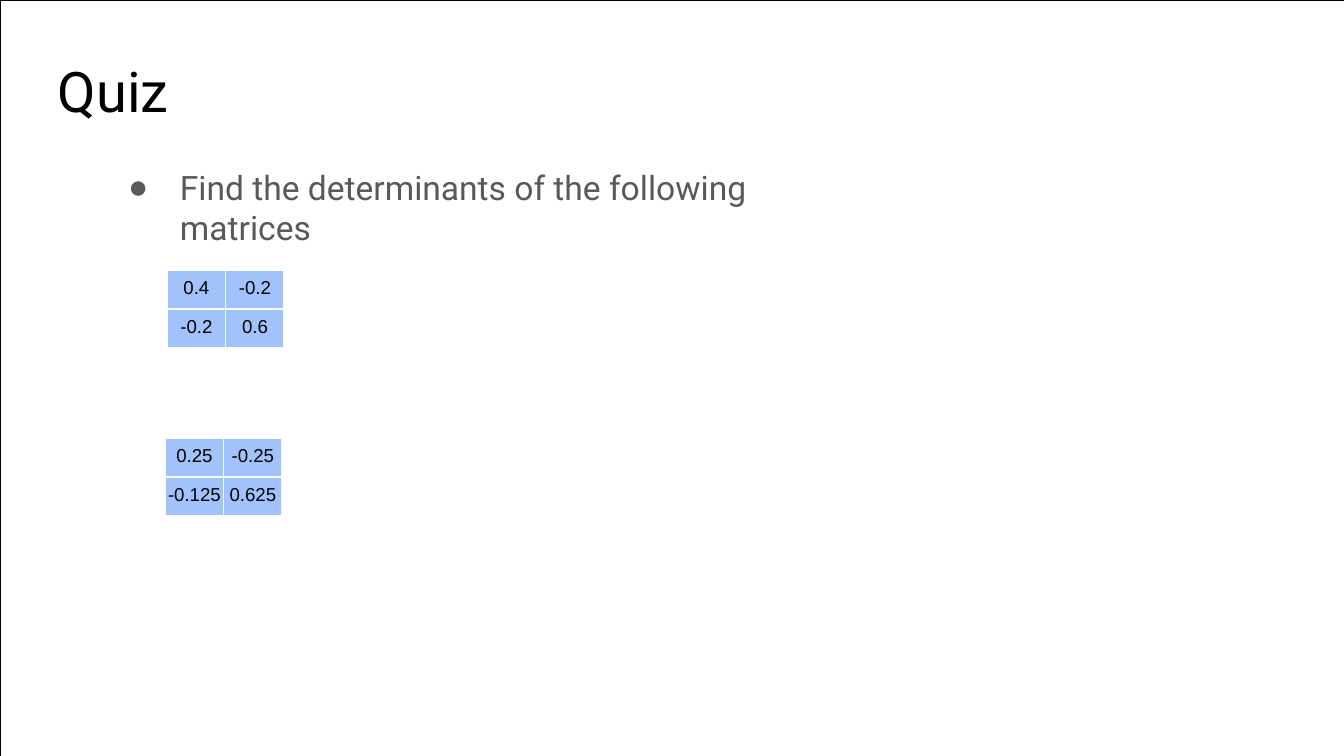
from dataclasses import dataclass

from lxml import etree
from pptx import Presentation
from pptx.dml.color import RGBColor
from pptx.enum.shapes import MSO_SHAPE
from pptx.enum.text import MSO_ANCHOR, MSO_AUTO_SIZE, PP_ALIGN
from pptx.oxml.ns import qn
from pptx.util import Pt

RECTANGLE = MSO_SHAPE.RECTANGLE
TOP = MSO_ANCHOR.TOP
NO_AUTOFIT = MSO_AUTO_SIZE.NONE
LEFT, CENTER = PP_ALIGN.LEFT, PP_ALIGN.CENTER

COLORS = {"ink": "000000", "body": "595959", "cell": "A1C2FA", "grid": "FFFFFF"}
SLIDE_WIDTH, SLIDE_HEIGHT = 720, 405
CELL_WIDTH, CELL_HEIGHT = 31.4, 20.8
BULLET_INDENT = 27.8


@dataclass
class Matrix:
    left: float
    top: float
    rows: list[list[str]]


MATRICES = [
    Matrix(89.5, 144.7, [["0.4", "-0.2"], ["-0.2", "0.6"]]),
    Matrix(88.4, 234.7, [["0.25", "-0.25"], ["-0.125", "0.625"]]),
]


def rgb(name: str) -> RGBColor:
    return RGBColor.from_string(COLORS[name])


def write_text(frame, text: str, *, size: float, font: str = "Roboto",
               color: str = "ink", align=LEFT, bullet: str = "") -> None:
    paragraph = frame.paragraphs[0]
    paragraph.alignment = align
    paragraph.space_before = Pt(0)
    if bullet:
        properties = paragraph._p.get_or_add_pPr()
        properties.set("marL", str(Pt(BULLET_INDENT)))
        properties.set("indent", str(-Pt(BULLET_INDENT)))
        etree.SubElement(properties, qn("a:buChar")).set("char", bullet)
    run = paragraph.add_run()
    run.text = text
    run.font.size = Pt(size)
    run.font.name = font
    run.font.color.rgb = rgb(color)


def place(placeholder, left: float, top: float, width: float, height: float):
    placeholder.left, placeholder.top = Pt(left), Pt(top)
    placeholder.width, placeholder.height = Pt(width), Pt(height)
    frame = placeholder.text_frame
    frame.margin_left = frame.margin_right = frame.margin_bottom = Pt(0)
    frame.margin_top = Pt(2)
    frame.vertical_anchor = TOP
    frame.word_wrap = True
    frame.auto_size = NO_AUTOFIT
    return frame


def add_borders(cell) -> None:
    properties = cell._tc.get_or_add_tcPr()
    for position, side in enumerate(("a:lnL", "a:lnR", "a:lnT", "a:lnB")):
        border = etree.Element(qn(side), w=str(Pt(1)))
        fill = etree.SubElement(border, qn("a:solidFill"))
        etree.SubElement(fill, qn("a:srgbClr")).set("val", COLORS["grid"])
        properties.insert(position, border)


def draw_matrix(slide, matrix: Matrix) -> None:
    row_count, column_count = len(matrix.rows), len(matrix.rows[0])
    table = slide.shapes.add_table(
        row_count, column_count, Pt(matrix.left), Pt(matrix.top),
        Pt(column_count * CELL_WIDTH), Pt(row_count * CELL_HEIGHT)).table
    table.first_row = table.horz_banding = False
    for column in table.columns:
        column.width = Pt(CELL_WIDTH)
    for row, values in zip(table.rows, matrix.rows):
        row.height = Pt(CELL_HEIGHT)
        for cell, value in zip(row.cells, values):
            cell.margin_left = cell.margin_right = cell.margin_bottom = Pt(0)
            cell.margin_top = Pt(4.2)
            cell.fill.solid()
            cell.fill.fore_color.rgb = rgb("cell")
            add_borders(cell)
            write_text(cell.text_frame, value, size=10, font="Arial", align=CENTER)


def main() -> None:
    presentation = Presentation()
    presentation.slide_width = Pt(SLIDE_WIDTH)
    presentation.slide_height = Pt(SLIDE_HEIGHT)
    slide = presentation.slides.add_slide(presentation.slide_layouts[1])

    # Slide border
    border = slide.shapes.add_shape(RECTANGLE, 0, 0, Pt(SLIDE_WIDTH), Pt(SLIDE_HEIGHT))
    border.shadow.inherit = False
    border.fill.background()
    border.line.color.rgb = rgb("ink")
    border.line.width = Pt(0.25)

    # Title and task
    title = place(slide.shapes.title, 31, 28, 200, 38)
    write_text(title, "Quiz", size=30)
    task = place(slide.placeholders[1], 68.6, 87.2, 401, 48)
    write_text(task, "Find the determinants of the following matrices",
               size=18, color="body", bullet="●")

    # Matrices
    for matrix in MATRICES:
        draw_matrix(slide, matrix)

    presentation.save("out.pptx")


if __name__ == "__main__":
    main()
